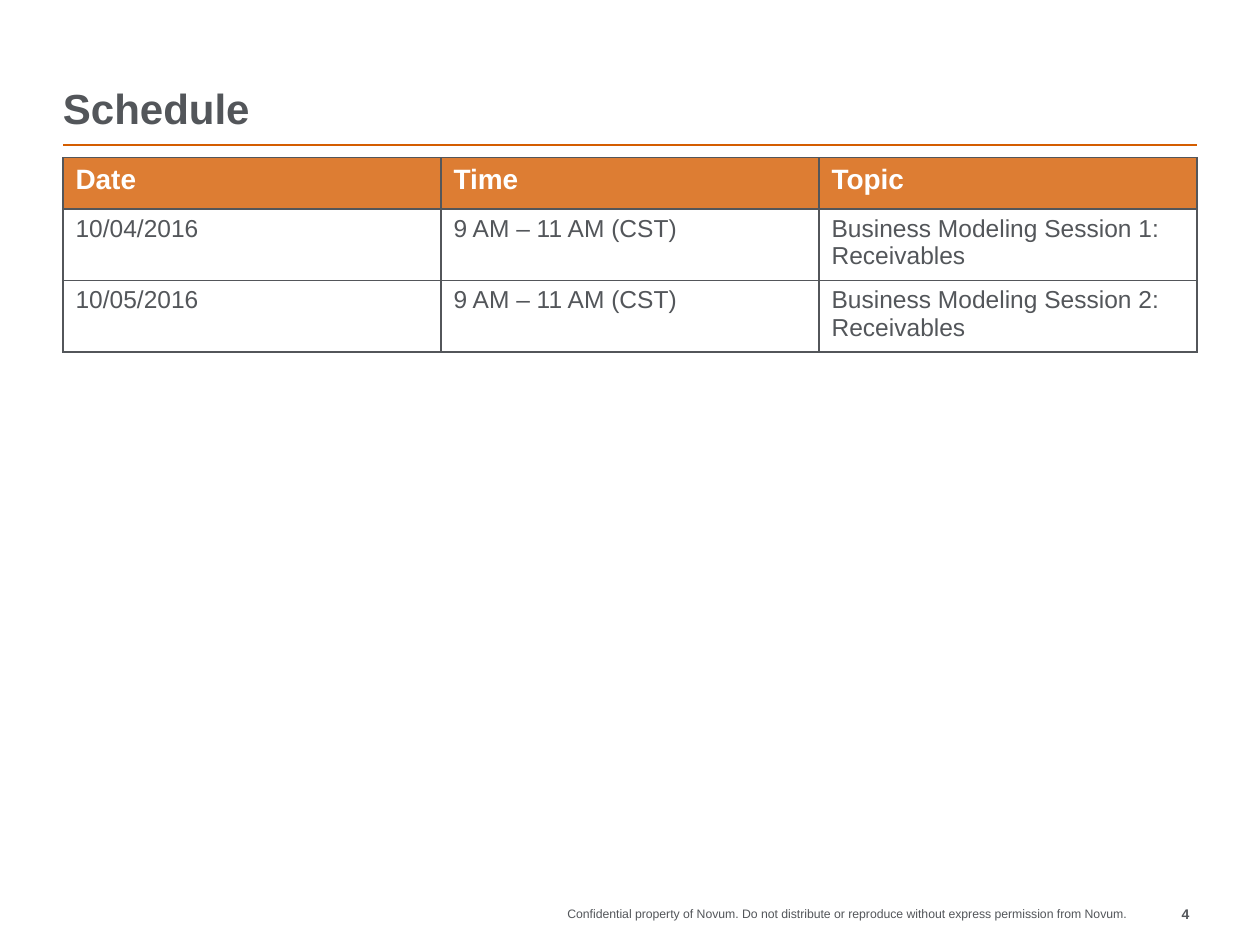
from lxml import etree
from pptx import Presentation
from pptx.dml.color import RGBColor
from pptx.enum import shapes, text
from pptx.oxml import ns
from pptx.util import Cm, Pt

COLORS = {"ink": "53565A", "rule": "D45D00", "header": "DD7D33", "white": "FFFFFF"}
SCHEDULE = [
    ("Date", "Time", "Topic"),
    ("10/04/2016", "9 AM – 11 AM (CST)", "Business Modeling Session 1: Receivables"),
    ("10/05/2016", "9 AM – 11 AM (CST)", "Business Modeling Session 2: Receivables"),
]
FOOTER = ("Confidential property of Novum. Do not distribute or reproduce "
          "without express permission from Novum.")


def rgb(name):
    return RGBColor.from_string(COLORS[name])


def write(tf, content, size, color="ink", bold=False, align=text.PP_ALIGN.LEFT):
    tf.word_wrap = True
    p = tf.paragraphs[0]
    p.alignment = align
    r = p.add_run()
    r.text = content
    r.font.name = "Arial"
    r.font.size = Pt(size)
    r.font.bold = bold
    r.font.color.rgb = rgb(color)


def add_text(s, box, content, anchor=text.MSO_ANCHOR.TOP, **fmt):
    tf = s.shapes.add_textbox(*map(Cm, box)).text_frame
    tf.margin_left = tf.margin_right = tf.margin_top = tf.margin_bottom = 0
    tf.vertical_anchor = anchor
    write(tf, content, **fmt)


def add_header(s, left, top, width, height):
    add_text(s, (left, top, width, height - 0.25), "Schedule",
             anchor=text.MSO_ANCHOR.BOTTOM, size=24, bold=True)
    y = Cm(top + height)
    rule = s.shapes.add_connector(shapes.MSO_CONNECTOR.STRAIGHT,
                                  Cm(left), y, Cm(left + width), y)
    rule.line.color.rgb = rgb("rule")
    rule.line.width = Pt(1)
    etree.SubElement(rule._element.spPr, ns.qn("a:effectLst"))


def set_borders(cell):
    tcPr = cell._tc.get_or_add_tcPr()
    for i, side in enumerate(("lnL", "lnR", "lnT", "lnB")):
        ln = etree.Element(ns.qn(f"a:{side}"), w=str(Pt(1)))
        fill = etree.SubElement(ln, ns.qn("a:solidFill"))
        etree.SubElement(fill, ns.qn("a:srgbClr"), val=COLORS["ink"])
        tcPr.insert(i, ln)


def add_schedule(s, left, top, width, row_height):
    rows, cols = len(SCHEDULE), len(SCHEDULE[0])
    table = s.shapes.add_table(rows, cols, Cm(left), Cm(top),
                               Cm(width), Cm(row_height * rows)).table
    table.horz_banding = False
    for col in table.columns:
        col.width = Cm(width / cols)
    for i, values in enumerate(SCHEDULE):
        for j, value in enumerate(values):
            cell = table.cell(i, j)
            if i == 0:
                cell.fill.solid()
                cell.fill.fore_color.rgb = rgb("header")
                write(cell.text_frame, value, 16, "white", bold=True)
            else:
                cell.fill.background()
                write(cell.text_frame, value, 14)
            set_borders(cell)


def add_footer(s, left, top, width, height):
    number_width = 1.27
    note_width = width - number_width
    right = text.PP_ALIGN.RIGHT
    add_text(s, (left, top, note_width, height), FOOTER, size=7, align=right)
    add_text(s, (left + note_width, top, number_width, height), "4",
             size=8, bold=True, align=right)


def main():
    prs = Presentation()
    prs.slide_width, prs.slide_height = Cm(25.4), Cm(19.05)
    s = prs.slides.add_slide(prs.slide_layouts[6])
    add_header(s, 1.27, 0.53, 22.86, 2.39)
    add_schedule(s, 1.27, 3.18, 22.86, 1.03)
    add_footer(s, 9.2, 18.26, 14.78, 0.58)
    prs.save("out.pptx")


if __name__ == "__main__":
    main()
